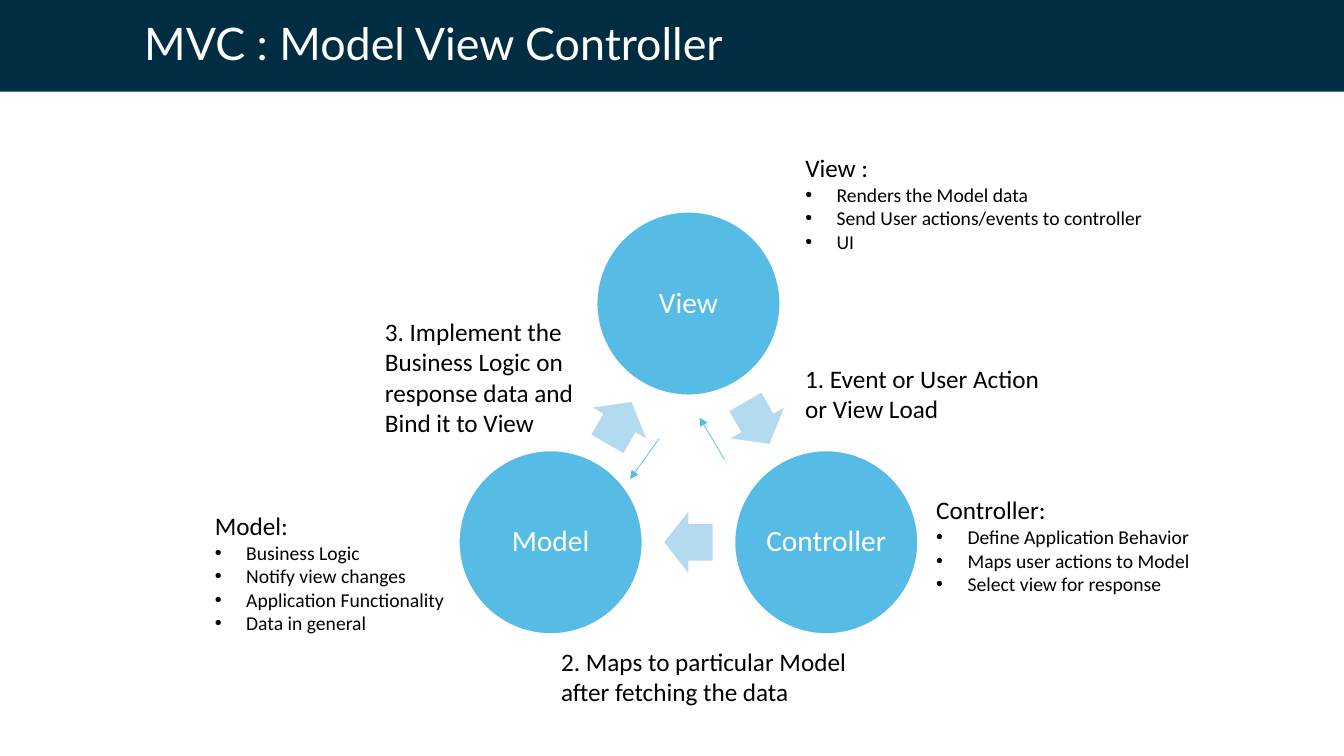
from math import cos, radians, sin

from lxml import etree
from pptx import Presentation
from pptx.dml.color import RGBColor
from pptx.enum.shapes import MSO_CONNECTOR, MSO_SHAPE
from pptx.enum.text import MSO_ANCHOR, MSO_AUTO_SIZE, PP_ALIGN
from pptx.oxml.ns import qn
from pptx.util import Cm, Pt

RECTANGLE, OVAL, RIGHT_ARROW = MSO_SHAPE.RECTANGLE, MSO_SHAPE.OVAL, MSO_SHAPE.RIGHT_ARROW
STRAIGHT = MSO_CONNECTOR.STRAIGHT
TOP, MIDDLE = MSO_ANCHOR.TOP, MSO_ANCHOR.MIDDLE
LEFT, CENTER = PP_ALIGN.LEFT, PP_ALIGN.CENTER
NO_AUTOFIT, GROW = MSO_AUTO_SIZE.NONE, MSO_AUTO_SIZE.SHAPE_TO_FIT_TEXT

COLORS = {"band": "002D41", "circle": "57BCE5", "arrow": "B4DAF0",
          "white": "FFFFFF", "black": "000000"}

COMPARISON_LAYOUT = 4
SLIDE_WIDTH, SLIDE_HEIGHT = 33.87, 19.05

CYCLE_X, CYCLE_Y, CYCLE_RADIUS = 17.35, 11.66, 4.01
CIRCLE_SIZE = 4.62
ARROW_WIDTH, ARROW_HEIGHT = 1.22, 1.55
ROLES = ["View", "Controller", "Model"]

STEPS = [
    ("1. Event or User Action or View Load", (20.04, 9.02, 7.06, 1.8)),
    ("2. Maps to particular Model after fetching the data", (13.89, 16.15, 8.74, 1.8)),
    ("3. Implement the Business Logic on response data and Bind it to View",
     (9.45, 7.85, 6.43, 3.33)),
]
FEEDBACK_LINES = [((18.26, 11.58), (17.63, 10.52)), ((16.61, 11.05), (15.88, 12.07))]

# Placeholder index, heading, items, box
ROLE_LISTS = [
    (2, "View :",
     ["Renders the Model data", "Send User actions/events to controller", "UI"],
     (20.04, 3.71, 10.44, 2.82)),
    (4, "Controller:",
     ["Define Application Behavior", "Maps user actions to Model",
      "Select view for response"],
     (23.34, 12.34, 10.44, 2.82)),
    (1, "Model:",
     ["Business Logic", "Notify view changes", "Application Functionality",
      "Data in general"],
     (5.16, 12.73, 7.52, 3.43)),
]
UNUSED_PLACEHOLDER = 3


class SlideBuilder:
    def __init__(self, slide):
        self.slide = slide
        self.font = "Calibri"
        self.title_font = "Lato"
        self.heading_size = 18
        self.item_size = 14
        self.indent = 0.79

    def color(self, name):
        return RGBColor.from_string(COLORS[name])

    def place(self, shape, box):
        shape.left, shape.top, shape.width, shape.height = (Cm(value) for value in box)

    def add_run(self, paragraph, text, size, color="black", font=None):
        run = paragraph.add_run()
        run.text = text
        run.font.name = font or self.font
        run.font.size = Pt(size)
        run.font.bold = False
        run.font.color.rgb = self.color(color)

    def frame(self, shape, anchor, auto_size):
        text_frame = shape.text_frame
        text_frame.word_wrap = True
        text_frame.auto_size = auto_size
        text_frame.vertical_anchor = anchor
        return text_frame

    def title(self, text, box):
        shape = self.slide.shapes.title
        self.place(shape, box)
        paragraph = self.frame(shape, MIDDLE, NO_AUTOFIT).paragraphs[0]
        paragraph.alignment = LEFT
        paragraph.line_spacing = 0.9
        self.add_run(paragraph, text, 32, "white", self.title_font)

    def preset(self, kind, box, fill, outline=None):
        shape = self.slide.shapes.add_shape(kind, *(Cm(value) for value in box))
        shape.shadow.inherit = False
        shape.fill.solid()
        shape.fill.fore_color.rgb = self.color(fill)
        if outline:
            shape.line.color.rgb = self.color(outline)
            shape.line.width = Pt(1)
        else:
            shape.line.fill.background()
        return shape

    def band(self, height):
        shape = self.preset(RECTANGLE, (0, 0, SLIDE_WIDTH, height), "band")
        self.slide.shapes.element.insert(2, shape.element)  # behind the title

    def circle(self, text, center_x, center_y):
        box = (center_x - CIRCLE_SIZE / 2, center_y - CIRCLE_SIZE / 2,
               CIRCLE_SIZE, CIRCLE_SIZE)
        text_frame = self.frame(self.preset(OVAL, box, "circle", "white"),
                                MIDDLE, NO_AUTOFIT)
        text_frame.margin_left = text_frame.margin_right = Cm(0.07)
        text_frame.margin_top = text_frame.margin_bottom = Cm(0.07)
        paragraph = text_frame.paragraphs[0]
        paragraph.alignment = CENTER
        paragraph.line_spacing = 0.9
        self.add_run(paragraph, text, 21, "white")

    def block_arrow(self, center_x, center_y, rotation):
        box = (center_x - ARROW_WIDTH / 2, center_y - ARROW_HEIGHT / 2,
               ARROW_WIDTH, ARROW_HEIGHT)
        shape = self.preset(RIGHT_ARROW, box, "arrow")
        shape.adjustments[0], shape.adjustments[1] = 0.6, 0.5
        shape.rotation = rotation

    def note(self, text, box):
        shape = self.slide.shapes.add_textbox(*(Cm(value) for value in box))
        paragraph = self.frame(shape, TOP, GROW).paragraphs[0]
        self.add_run(paragraph, text, self.heading_size)

    def line_arrow(self, start, end):
        points = (Cm(value) for value in (*start, *end))
        connector = self.slide.shapes.add_connector(STRAIGHT, *points)
        connector.line.color.rgb = self.color("circle")
        connector.line.width = Pt(0.5)
        properties = connector.element.spPr
        etree.SubElement(properties.find(qn("a:ln")), qn("a:tailEnd"), type="triangle")
        etree.SubElement(properties, qn("a:effectLst"))

    def format_list_paragraph(self, paragraph, bullet):
        paragraph.alignment = LEFT
        paragraph.space_before = paragraph.space_after = Pt(0)
        paragraph.line_spacing = 1.0
        properties = paragraph._p.get_or_add_pPr()
        indent = Cm(self.indent) if bullet else 0
        properties.set("marL", str(indent))
        properties.set("indent", str(-indent))
        if bullet:
            etree.SubElement(properties, qn("a:buFont"), typeface="Arial")
            etree.SubElement(properties, qn("a:buChar"), char="•")
        else:
            etree.SubElement(properties, qn("a:buNone"))

    def bullet_list(self, index, heading, items, box):
        shape = self.slide.placeholders[index]
        self.place(shape, box)
        text_frame = self.frame(shape, TOP, GROW)
        paragraph = text_frame.paragraphs[0]
        self.format_list_paragraph(paragraph, bullet=False)
        self.add_run(paragraph, heading, self.heading_size)
        for item in items:
            paragraph = text_frame.add_paragraph()
            self.format_list_paragraph(paragraph, bullet=True)
            self.add_run(paragraph, item, self.item_size)

    def remove_placeholder(self, index):
        element = self.slide.placeholders[index].element
        element.getparent().remove(element)


def cycle_point(angle, radius):
    """Return the point at an angle (degrees, clockwise from the right) on the cycle."""
    return (CYCLE_X + radius * cos(radians(angle)),
            CYCLE_Y + radius * sin(radians(angle)))


def main():
    presentation = Presentation()
    presentation.slide_width = Cm(SLIDE_WIDTH)
    presentation.slide_height = Cm(SLIDE_HEIGHT)
    layout = presentation.slide_layouts[COMPARISON_LAYOUT]
    builder = SlideBuilder(presentation.slides.add_slide(layout))

    builder.band(2.31)
    builder.title("MVC : Model View Controller", (3.38, 0, 30.48, 2.34))
    for position, role in enumerate(ROLES):
        turn = 360 / len(ROLES) * position
        builder.circle(role, *cycle_point(turn - 90, CYCLE_RADIUS))
        builder.block_arrow(*cycle_point(turn - 30, CYCLE_RADIUS / 2), turn + 60)
    for text, box in STEPS:
        builder.note(text, box)
    for start, end in FEEDBACK_LINES:
        builder.line_arrow(start, end)
    for role_list in ROLE_LISTS:
        builder.bullet_list(*role_list)
    builder.remove_placeholder(UNUSED_PLACEHOLDER)

    presentation.save("out.pptx")


if __name__ == "__main__":
    main()
